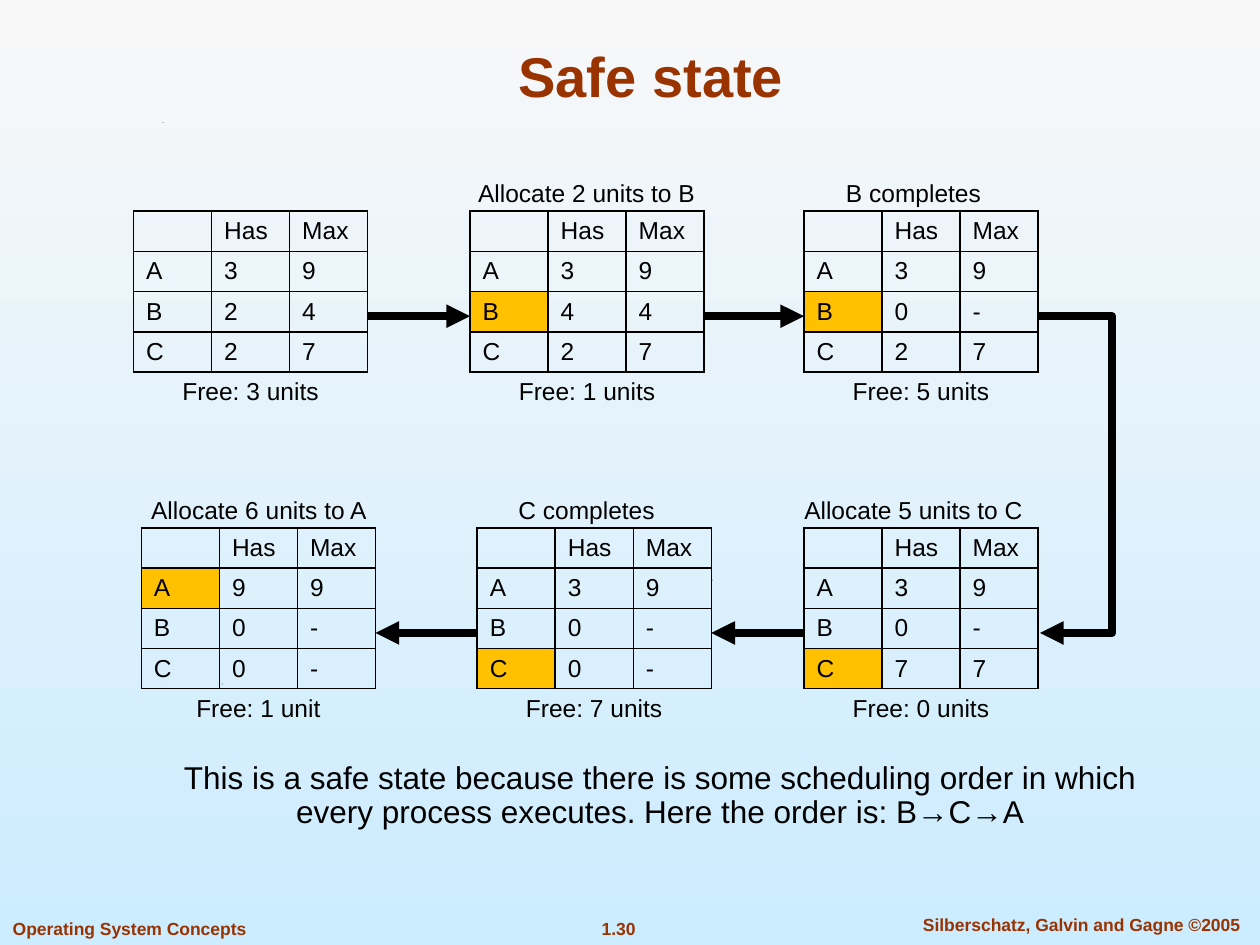
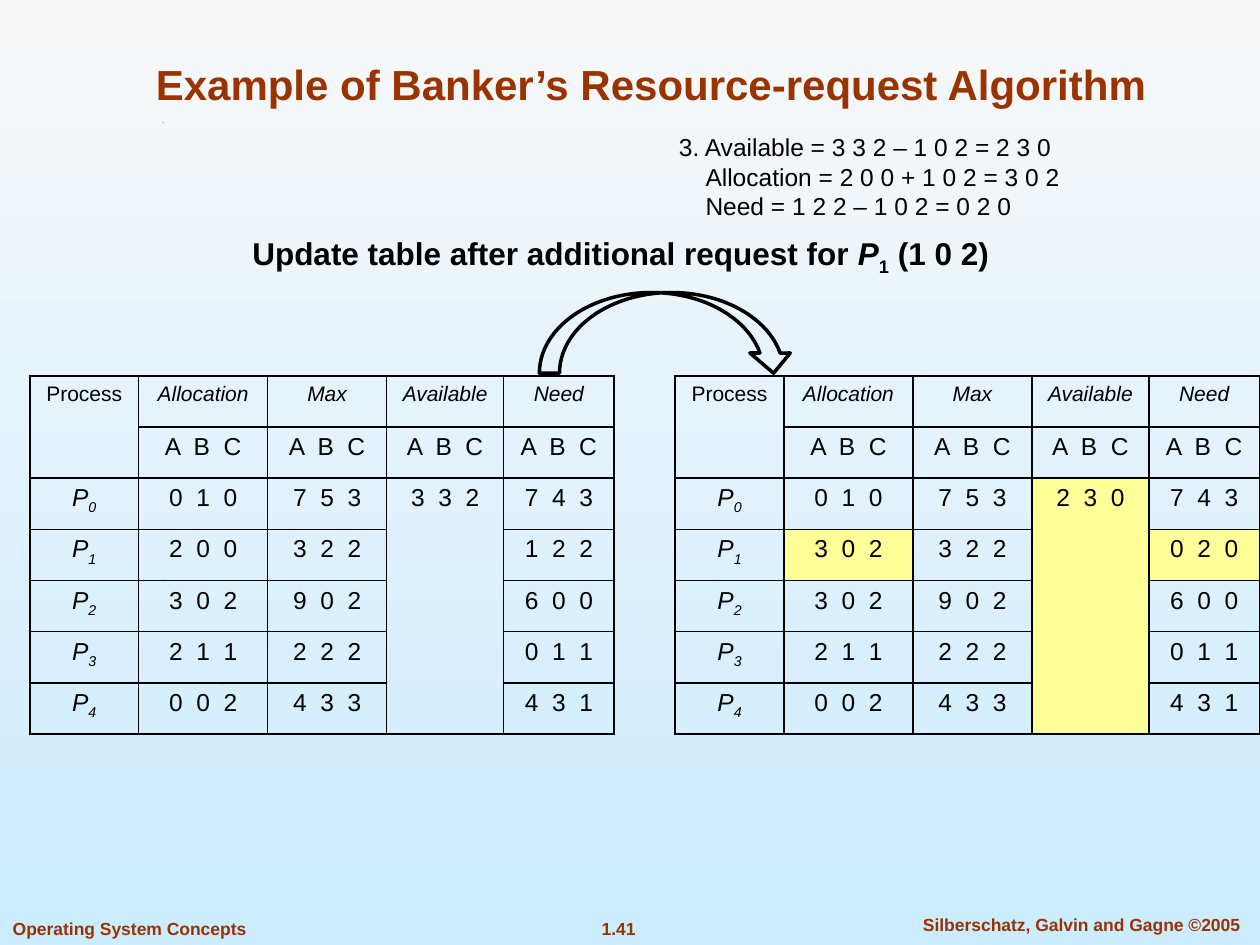
from dataclasses import dataclass

from lxml.etree import SubElement
from pptx import Presentation
from pptx.dml.color import RGBColor
from pptx.enum.shapes import MSO_CONNECTOR, MSO_SHAPE
from pptx.enum.text import MSO_ANCHOR, MSO_AUTO_SIZE, PP_ALIGN
from pptx.oxml.ns import qn
from pptx.util import Pt


@dataclass(frozen=True)
class Theme:
    font: str = "Arial"
    ink: str = "000000"
    accent: str = "993300"
    sky_top: str = "F8F8F8"
    sky_bottom: str = "CCECFF"
    chosen: str = "FFC000"
    updated: str = "FFFF99"
    title: float = 32
    long_title: float = 24
    body: float = 18
    label: float = 14
    heading: float = 12
    footer: float = 10


THEME = Theme()
LEFT, CENTER = PP_ALIGN.LEFT, PP_ALIGN.CENTER
BARE_STYLE = "{2D5ABB26-0587-4C30-8999-92F81FD0307C}"
STATE_COLUMN, STATE_ROW, STATE_HEIGHT = 44.6, 21, 120
PROCESS_COLUMNS, PROCESS_ROW = (62.3, 73.7, 68, 66.9, 63.1), 29.25
CAPTION_WIDTH, CAPTION_RISE = 140, 22.3
UPPER, LOWER = 120.7, 301.7
SPECKS = [(126.7, 390.6), (93.6, 331.2), (406.8, 331.2), (92.9, 69.8)]

STATES = [
    (76.3, UPPER, 148, "", ("39", "24", "27"), "", "Free: 3 units"),
    (268.6, UPPER, 335.2, "Allocate 2 units to B", ("39", "44", "27"), "B", "Free: 1 units"),
    (459.4, UPPER, 522, "B completes", ("39", "0-", "27"), "B", "Free: 5 units"),
    (459.4, LOWER, 522, "Allocate 5 units to C", ("39", "0-", "77"), "C", "Free: 0 units"),
    (272.7, LOWER, 335.2, "C completes", ("39", "0-", "0-"), "C", "Free: 7 units"),
    (80.8, LOWER, 148, "Allocate 6 units to A", ("99", "0-", "0-"), "A", "Free: 1 unit"),
]

ALLOCATION = ["010", "200", "302", "211", "002"]
MAXIMUM = ["753", "322", "902", "222", "433"]
NEED = ["743", "122", "600", "011", "431"]


def apply(target, formats):
    for name, value in formats.items():
        setattr(target, name, value)


def write(paragraph, pieces, size, color=THEME.ink, align=LEFT, **formats):
    paragraph.alignment = align
    if isinstance(pieces, str):
        pieces = [(pieces, {})]
    for text, extra in pieces:
        run = paragraph.add_run()
        run.text = text
        look = {"name": THEME.font, "size": Pt(size), **formats, **extra}
        lowered = look.pop("subscript", False)
        apply(run.font, look)
        run.font.color.rgb = RGBColor.from_string(color)
        if lowered:
            run._r.get_or_add_rPr().set("baseline", "-25000")


def add_text(slide, box, pieces, size, wrap=True, **formats):
    frame = slide.shapes.add_textbox(*map(Pt, box)).text_frame
    apply(frame, {"word_wrap": wrap, "auto_size": MSO_AUTO_SIZE.NONE})
    write(frame.paragraphs[0], pieces, size, **formats)
    return frame


def add_speck(slide, left, top):
    outline = slide.shapes.build_freeform(Pt(left), Pt(top + 0.5))
    outline.add_line_segments([(Pt(left + 0.7), Pt(top)), (Pt(left + 0.3), Pt(top + 0.5))])
    speck = outline.convert_to_shape()
    speck.shadow.inherit = False
    speck.fill.solid()
    speck.fill.fore_color.rgb = RGBColor.from_string(THEME.ink)
    speck.line.fill.background()


def add_titled_slide(deck, title, size, number):
    slide = deck.slides.add_slide(deck.slide_layouts[5])
    for left, top in SPECKS:
        add_speck(slide, left, top)
    heading = slide.shapes.title
    apply(heading, {"left": Pt(54), "top": Pt(18), "width": Pt(636), "height": Pt(48)})
    apply(heading.text_frame, {"vertical_anchor": MSO_ANCHOR.BOTTOM, "word_wrap": True,
                               "auto_size": MSO_AUTO_SIZE.NONE})
    write(heading.text_frame.paragraphs[0], title, size, THEME.accent, CENTER, bold=True)
    for box, text, align, wrap in [
        ((0.2, 520.9, 159, 19.1), "Operating System Concepts", LEFT, True),
        ((336, 520.9, 35, 19.1), number, CENTER, False),
        ((511, 518.8, 214, 19.1), "Silberschatz, Galvin and Gagne ©2005", CENTER, False),
    ]:
        add_text(slide, box, text, THEME.footer, wrap, color=THEME.accent,
                 align=align, bold=True)
    return slide


def style_cell(cell, edges="LRTB", fill=None):
    if fill:
        cell.fill.solid()
        cell.fill.fore_color.rgb = RGBColor.from_string(fill)
    else:
        cell.fill.background()
    properties = cell._tc.get_or_add_tcPr()
    for place, edge in enumerate("LRTB"):
        border = SubElement(properties, qn(f"a:ln{edge}"), w=str(Pt(1)))
        properties.insert(place, border)
        if edge in edges:
            paint = SubElement(border, qn("a:solidFill"))
            SubElement(paint, qn("a:srgbClr"), val=THEME.ink)
        else:
            SubElement(border, qn("a:noFill"))


def add_grid(slide, left, top, widths, row_height, row_count):
    frame = slide.shapes.add_table(row_count, len(widths), Pt(left), Pt(top),
                                   Pt(sum(widths)), Pt(row_height * row_count))
    table = frame.table
    apply(table, {"first_row": False, "horz_banding": False})
    table._tbl.tblPr.find(qn("a:tableStyleId")).text = BARE_STYLE
    for column, width in zip(table.columns, widths):
        column.width = Pt(width)
    for row in table.rows:
        row.height = Pt(row_height)
    return frame


def write_cell(cell, pieces, size, **formats):
    paragraph = cell.text_frame.paragraphs[0]
    if pieces:
        write(paragraph, pieces, size, **formats)
    else:
        ending = SubElement(paragraph._p, qn("a:endParaRPr"), sz=str(size * 100))
        SubElement(ending, qn("a:latin"), typeface=THEME.font)


def add_state(slide, left, top, caption_center, caption, holdings, chosen, free):
    frame = add_grid(slide, left, top, [STATE_COLUMN] * 3, STATE_ROW, 5)
    table = frame.table
    rows = [("", "Has", "Max"), *((name, *held) for name, held in zip("ABC", holdings))]
    for r, values in enumerate(rows):
        for c, value in enumerate(values):
            marked = c == 0 and value and value == chosen
            write_cell(table.cell(r, c), value, THEME.label)
            style_cell(table.cell(r, c), fill=THEME.chosen if marked else None)
    table.cell(4, 0).merge(table.cell(4, 2))
    for c, value in enumerate((free, "", "")):
        write_cell(table.cell(4, c), value, THEME.label, align=CENTER)
        style_cell(table.cell(4, c), edges="T")
    frame.height = Pt(STATE_HEIGHT)
    if caption:
        box = (caption_center - CAPTION_WIDTH / 2, top - CAPTION_RISE, CAPTION_WIDTH, 24.5)
        add_text(slide, box, caption, THEME.label, wrap=False, align=CENTER)
    return frame


def add_arrow(slide, kind, start=(0, 0), end=(0, 0)):
    arrow = slide.shapes.add_connector(kind, *map(Pt, (*start, *end)))
    arrow.line.width = Pt(4.5)
    arrow.line.color.rgb = RGBColor.from_string(THEME.ink)
    SubElement(arrow.line._get_or_add_ln(), qn("a:tailEnd"), type="triangle")
    SubElement(arrow._element.spPr, qn("a:effectLst"))
    return arrow


def join(slide, source, source_side, target, target_side):
    arrow = add_arrow(slide, MSO_CONNECTOR.STRAIGHT)
    arrow.begin_connect(source, source_side)
    arrow.end_connect(target, target_side)


def add_return_arrow(slide, left, bulge):
    middle = STATE_HEIGHT / 2
    arrow = add_arrow(slide, MSO_CONNECTOR.ELBOW,
                      (left, UPPER + middle), (left + 1, LOWER + middle))
    adjustments = arrow._element.spPr.find(qn("a:prstGeom")).find(qn("a:avLst"))
    SubElement(adjustments, qn("a:gd"), name="adj1", fmla=f"val {bulge * 100000:.0f}")


def spaced(letters):
    return "  ".join(letters)


def add_process_table(slide, left, allocation, available, need, updated=()):
    table = add_grid(slide, left, 214.8, PROCESS_COLUMNS, PROCESS_ROW, 7).table
    table.cell(0, 0).merge(table.cell(1, 0))
    table.cell(2, 3).merge(table.cell(6, 3))
    headings = ["Process", "Allocation", "Max", "Available", "Need"]
    rows = [headings, ["", *[spaced("ABC")] * 4]]
    for index, figures in enumerate(zip(allocation, MAXIMUM, need)):
        held, most, needed = map(spaced, figures)
        process = [("P", {}), (str(index), {"subscript": True})]
        rows.append([process, held, most, "" if index else spaced(available), needed])
    for r, values in enumerate(rows):
        for c, value in enumerate(values):
            italic = (c > 0) if r == 0 else (c == 0)
            size = THEME.label if r else THEME.heading
            write_cell(table.cell(r, c), value, size, align=CENTER, italic=italic)
            style_cell(table.cell(r, c), fill=THEME.updated if (r, c) in updated else None)


def build_safe_state(deck):
    slide = add_titled_slide(deck, "Safe state", THEME.title, "1.30")
    states = [add_state(slide, *state) for state in STATES]
    for step in (0, 1):
        join(slide, states[step], 3, states[step + 1], 1)
    for step in (3, 4):
        join(slide, states[step], 1, states[step + 1], 3)
    add_return_arrow(slide, 593.3, 42.5)
    conclusion = add_text(
        slide, (89.3, 432, 576, 46.8),
        "This is a safe state because there is some scheduling order in which "
        "every process executes. Here the order is: B→C→A",
        THEME.body, align=CENTER)
    conclusion.paragraphs[0].line_spacing = 0.9


def build_bankers_example(deck):
    slide = add_titled_slide(deck, "Example of Banker’s Resource-request Algorithm",
                             THEME.long_title, "1.41")
    add_process_table(slide, 17, ALLOCATION, "332", NEED)
    add_process_table(slide, 385.75, ["010", "302", *ALLOCATION[2:]], "230",
                      ["743", "020", *NEED[2:]], updated={(2, 3), (3, 1), (3, 4)})
    update = slide.shapes.add_shape(MSO_SHAPE.CURVED_DOWN_ARROW,
                                    *map(Pt, (308.2, 167.2, 145.4, 46.1)))
    update.shadow.inherit = False
    update.fill.background()
    update.line.width = Pt(2)
    update.line.color.rgb = RGBColor.from_string(THEME.ink)
    add_text(slide, (81.4, 130.3, 546.5, 28.8),
             [("Update table after additional request for ", {}), ("P", {"italic": True}),
              ("1", {"subscript": True}), (" (1 0 2)", {})],
             THEME.body, align=CENTER, bold=True)
    steps = add_text(slide, (380.9, 72, 276.5, 58.3),
                     "3. Available = 3 3 2 – 1 0 2 = 2 3 0", THEME.label)
    for step in ("Allocation = 2 0 0 + 1 0 2 = 3 0 2", "Need = 1 2 2 – 1 0 2 = 0 2 0"):
        paragraph = steps.add_paragraph()
        paragraph._p.get_or_add_pPr().set("marL", str(Pt(15.2)))
        write(paragraph, step, THEME.label)


def main():
    deck = Presentation()
    apply(deck, {"slide_width": Pt(720), "slide_height": Pt(540)})
    sky = deck.slide_master.background.fill
    sky.gradient()
    sky.gradient_angle = 270
    for stop, color in zip(sky.gradient_stops, (THEME.sky_top, THEME.sky_bottom)):
        stop.color.rgb = RGBColor.from_string(color)
    build_safe_state(deck)
    build_bankers_example(deck)
    deck.save("out.pptx")


if __name__ == "__main__":
    main()
